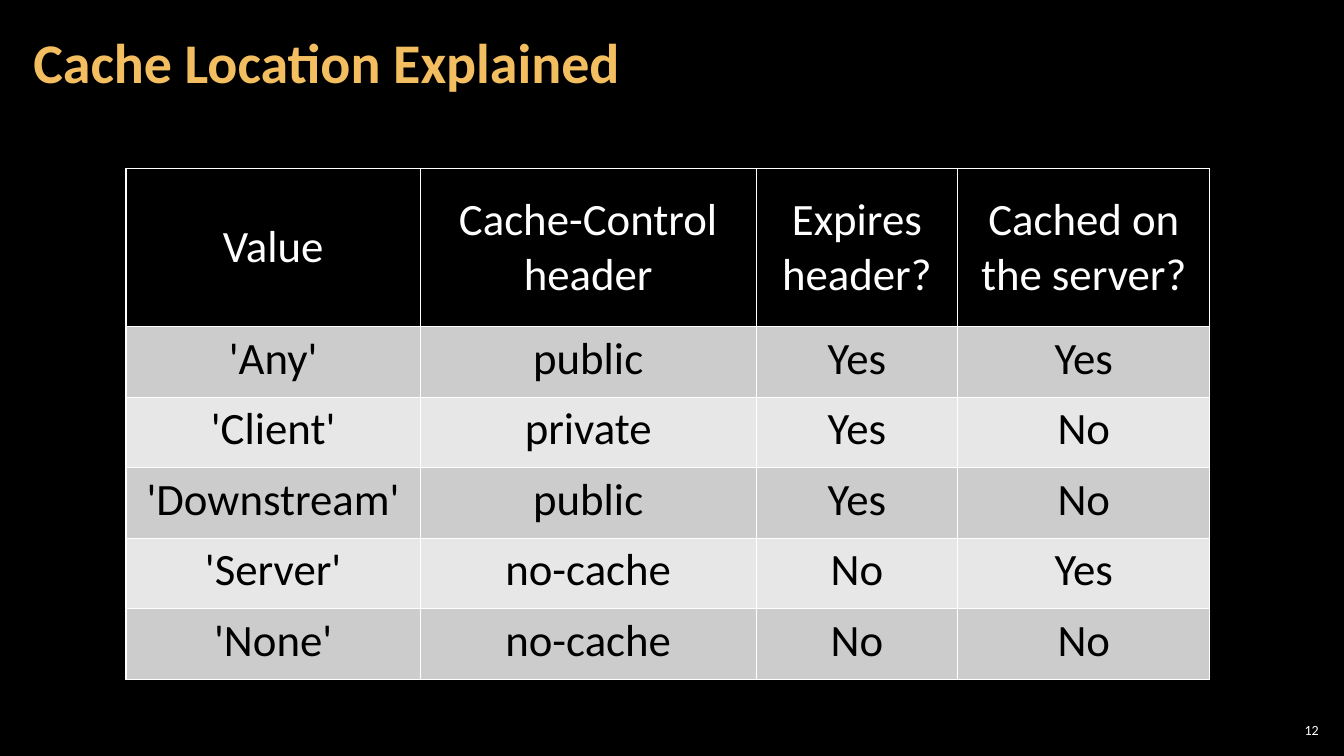
from pptx import Presentation
from pptx.dml.color import RGBColor
from pptx.enum.text import MSO_ANCHOR as Anchor, PP_ALIGN as Align
from pptx.oxml import parse_xml
from pptx.oxml.ns import nsdecls
from pptx.util import Inches, Pt

COLORS = {
    "black": "000000",
    "white": "FFFFFF",
    "gold": "F3BE60",
    "dark band": "CCCCCC",
    "light band": "E7E7E7",
}
ROWS = [
    ["Value", "Cache-Control header", "Expires header?", "Cached on the server?"],
    ["'Any'", "public", "Yes", "Yes"],
    ["'Client'", "private", "Yes", "No"],
    ["'Downstream'", "public", "Yes", "No"],
    ["'Server'", "no-cache", "No", "Yes"],
    ["'None'", "no-cache", "No", "No"],
]
COLUMN_WIDTHS = [2.92, 3.33, 2, 2.5]
HEADER_HEIGHT, ROW_HEIGHT = 1.57, 0.7


def write(frame, text, size, color, align, bold=False):
    """Fill a text frame with one formatted paragraph."""
    frame.text = text
    para = frame.paragraphs[0]
    para.alignment = align
    para.font.name = "Calibri"
    para.font.size = Pt(size)
    para.font.bold = bold
    para.font.color.rgb = RGBColor.from_string(COLORS[color])
    return para


def add_borders(cell):
    properties = cell._tc.get_or_add_tcPr()
    for side in ("lnL", "lnR", "lnT", "lnB"):
        properties.append(parse_xml(
            f'<a:{side} {nsdecls("a")} w="{Pt(1)}"><a:solidFill>'
            f'<a:srgbClr val="{COLORS["white"]}"/></a:solidFill></a:{side}>'))


deck = Presentation()
deck.slide_width, deck.slide_height = Inches(13.33), Inches(7.5)
page = deck.slides.add_slide(deck.slide_layouts[5])
page.background.fill.solid()
page.background.fill.fore_color.rgb = RGBColor.from_string(COLORS["black"])

# Title
title = page.shapes.title
title.left, title.top = Inches(0.21), Inches(0.04)
title.width, title.height = Inches(10.47), Inches(1.21)
frame = title.text_frame
frame.vertical_anchor = Anchor.MIDDLE
frame.margin_left = frame.margin_right = Inches(0.12)
frame.margin_top = frame.margin_bottom = Inches(0.04)
para = write(frame, "Cache Location Explained", 40, "gold", Align.LEFT, bold=True)
para.line_spacing = 0.9

# Cache location table
height = HEADER_HEIGHT + ROW_HEIGHT * (len(ROWS) - 1)
table = page.shapes.add_table(
    len(ROWS), len(COLUMN_WIDTHS), Inches(1.25), Inches(1.67),
    Inches(sum(COLUMN_WIDTHS)), Inches(height)).table
for column, width in zip(table.columns, COLUMN_WIDTHS):
    column.width = Inches(width)

for row_index, values in enumerate(ROWS):
    is_header = row_index == 0
    table.rows[row_index].height = Inches(HEADER_HEIGHT if is_header else ROW_HEIGHT)
    if is_header:
        fill, color = "black", "white"
    else:
        fill, color = ("dark band" if row_index % 2 else "light band"), "black"
    for column_index, value in enumerate(values):
        cell = table.cell(row_index, column_index)
        add_borders(cell)
        cell.fill.solid()
        cell.fill.fore_color.rgb = RGBColor.from_string(COLORS[fill])
        cell.vertical_anchor = Anchor.MIDDLE if is_header else Anchor.TOP
        write(cell.text_frame, value, 32, color, Align.CENTER)

# Page number
number = page.shapes.add_textbox(Inches(12.65), Inches(7.14), Inches(0.47), Inches(0.21))
frame = number.text_frame
frame.word_wrap = True
frame.vertical_anchor = Anchor.MIDDLE
frame.margin_left = frame.margin_right = Inches(0.04)
frame.margin_top = frame.margin_bottom = Inches(0.04)
write(frame, "12", 10, "white", Align.RIGHT)

deck.save("out.pptx")
